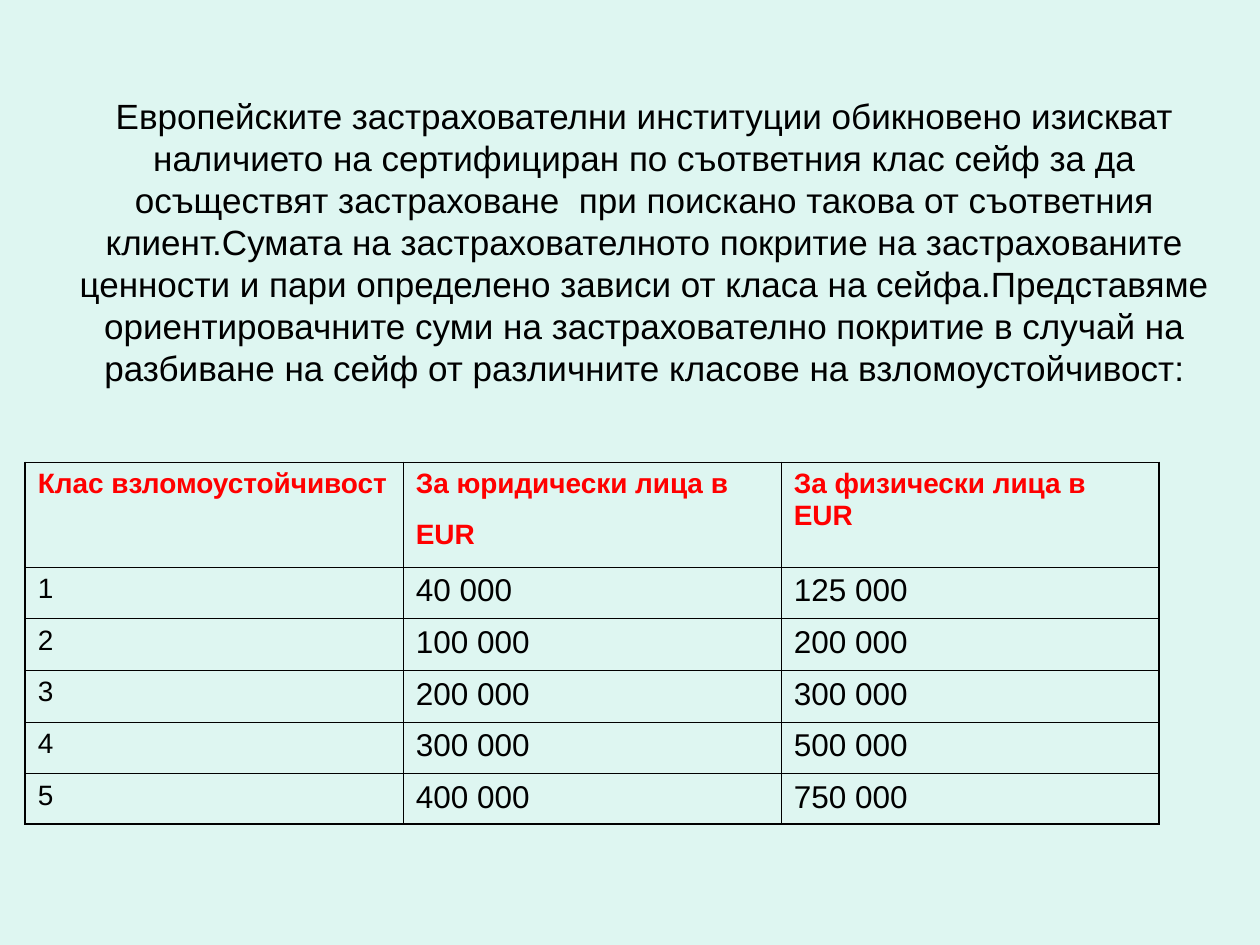
import lxml.etree
import pptx
import pptx.dml.color
import pptx.enum.text
import pptx.oxml.ns
import pptx.util

Inches = pptx.util.Inches
Pt = pptx.util.Pt
RGBColor = pptx.dml.color.RGBColor

MINT = RGBColor(0xDE, 0xF6, 0xF1)
BLACK = RGBColor(0, 0, 0)
RED = RGBColor(0xFF, 0, 0)
FONT = "Arial"
THIN = 0.45
THICK = 1.08

TITLE = (
    "Европейските застрахователни институции обикновено изискват наличието на "
    "сертифициран по съответния клас сейф за да осъществят застраховане\u00a0 при "
    "поискано такова от съответния клиент.Сумата на застрахователното покритие на "
    "застрахованите ценности и пари определено зависи от класа на сейфа."
    "Представяме ориентировачните суми на застрахователно покритие в случай на "
    "разбиване на сейф от различните класове на взломоустойчивост:"
)
HEADS = ["Клас взломоустойчивост", "За юридически лица в EUR", "За физически лица в EUR"]
ROWS = [
    HEADS,
    ["1", "40 000", "125 000"],
    ["2", "100 000", "200 000"],
    ["3", "200 000", "300 000"],
    ["4", "300 000", "500 000"],
    ["5", "400 000", "750 000"],
]
HEIGHTS = [0.83, 0.41, 0.41, 0.41, 0.41, 0.4]


def add_run(para, text, size, color, bold=False):
    """Add one formatted run to a paragraph."""
    run = para.add_run()
    run.text = text
    run.font.name = FONT
    run.font.size = Pt(size)
    run.font.bold = bold
    run.font.color.rgb = color


def set_edges(cell, widths):
    """Draw the cell's borders from a map of side to width in points."""
    qn = pptx.oxml.ns.qn
    props = cell._tc.get_or_add_tcPr()
    for index, side in enumerate("LRTB"):
        line = lxml.etree.Element(qn(f"a:ln{side}"), w=str(int(Pt(widths[side]))))
        fill = lxml.etree.SubElement(line, qn("a:solidFill"))
        lxml.etree.SubElement(fill, qn("a:srgbClr"), val=str(BLACK))
        props.insert(index, line)


def place_title(slide, left, top, width, height):
    """Place the opening text in the title placeholder."""
    title = slide.shapes.title
    title.left, title.top, title.width, title.height = left, top, width, height
    frame = title.text_frame
    frame.word_wrap = True
    frame.auto_size = pptx.enum.text.MSO_AUTO_SIZE.NONE
    frame.vertical_anchor = pptx.enum.text.MSO_ANCHOR.MIDDLE
    frame.margin_bottom = Inches(1.05)
    para = frame.paragraphs[0]
    para.alignment = pptx.enum.text.PP_ALIGN.CENTER
    para.line_spacing = Pt(24)
    add_run(para, TITLE, 20, BLACK)


def place_table(slide, left, top, width, height):
    """Place the table of cover sums by safe class."""
    last_row, last_col = len(ROWS) - 1, len(HEADS) - 1
    frame = slide.shapes.add_table(len(ROWS), len(HEADS), left, top, width, height)
    table = frame.table
    table.first_row = table.horz_banding = False
    for col in table.columns:
        col.width = int(width / len(HEADS))
    for r, texts in enumerate(ROWS):
        table.rows[r].height = Inches(HEIGHTS[r])
        for c, text in enumerate(texts):
            cell = table.cell(r, c)
            cell.fill.background()
            set_edges(cell, {
                "L": THICK if c == 0 else THIN,
                "R": THICK if c == last_col else THIN,
                "T": THICK if r == 0 else THIN,
                "B": THICK if r == last_row else THIN,
            })
            para = cell.text_frame.paragraphs[0]
            head = r == 0
            size = 16 if head or c == 0 else 18
            add_run(para, text, size, RED if head else BLACK, head)
    add_run(table.cell(0, 1).text_frame.paragraphs[0], " ", 28, RED)


def main():
    """Build and save the slide."""
    deck = pptx.Presentation()
    deck.slide_width, deck.slide_height = Inches(10), Inches(7.5)
    slide = deck.slides.add_slide(deck.slide_layouts[5])
    slide.background.fill.solid()
    slide.background.fill.fore_color.rgb = MINT
    place_title(slide, Inches(0.43), Inches(0.3), Inches(9.37), Inches(4.24))
    place_table(slide, Inches(0.2), Inches(3.67), Inches(9), Inches(sum(HEIGHTS)))
    deck.save("out.pptx")


if __name__ == "__main__":
    main()
